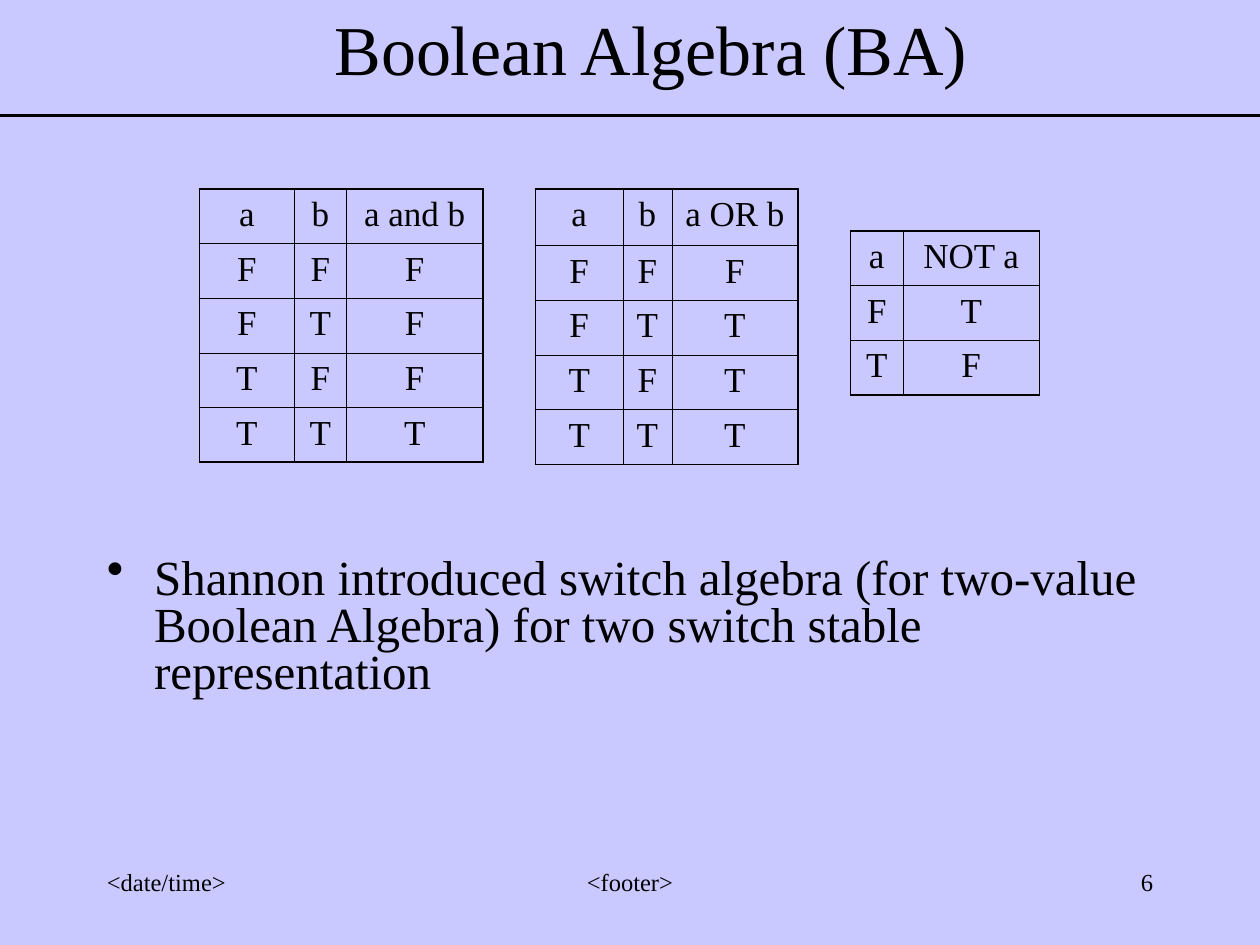
"""Build the Boolean Algebra slide with its three truth tables."""
from lxml.etree import SubElement
from pptx import Presentation
from pptx.dml.color import RGBColor
from pptx.enum.shapes import MSO_CONNECTOR
from pptx.enum.text import MSO_ANCHOR, PP_ALIGN
from pptx.oxml.ns import qn
from pptx.util import Pt

BLACK = RGBColor(0x00, 0x00, 0x00)
LAVENDER = RGBColor(0xC9, 0xC9, 0xFF)
FONT = "Times New Roman"
OUTER, INNER = 1.08, 0.45


def write(frame, text, size=14, align=PP_ALIGN.LEFT, anchor=MSO_ANCHOR.TOP,
          spacing=None, bullet=None, indent=0):
    frame.word_wrap = True
    frame.vertical_anchor = anchor
    paragraph = frame.paragraphs[0]
    paragraph.text = text
    paragraph.alignment = align
    paragraph.line_spacing = spacing
    if bullet:
        properties = paragraph._p.get_or_add_pPr()
        properties.set("marL", str(Pt(indent)))
        properties.set("indent", str(-Pt(indent)))
        SubElement(properties, qn("a:buChar"), char=bullet)
    paragraph.font.name = FONT
    paragraph.font.size = Pt(size)
    paragraph.font.color.rgb = BLACK


def add_border(cell, side, width):
    border = SubElement(cell._tc.get_or_add_tcPr(), qn(f"a:ln{side}"), w=str(Pt(width)))
    fill = SubElement(border, qn("a:solidFill"))
    SubElement(fill, qn("a:srgbClr"), val=str(BLACK))


prs = Presentation()
prs.slide_width, prs.slide_height = Pt(720), Pt(540)
slide = prs.slides.add_slide(prs.slide_layouts[6])
slide.background.fill.solid()
slide.background.fill.fore_color.rgb = LAVENDER

statement = ("Shannon introduced switch algebra (for two-value Boolean Algebra) "
             "for two switch stable representation")
texts = [
    ("6", (516, 492, 150, 36), dict(align=PP_ALIGN.RIGHT)),
    ("<footer>", (246, 492, 228, 36), dict(align=PP_ALIGN.CENTER)),
    ("<date/time>", (54, 492, 150, 36), {}),
    ("Boolean Algebra (BA)", (48, 0, 648, 54),
     dict(size=40, align=PP_ALIGN.CENTER, anchor=MSO_ANCHOR.MIDDLE)),
    (statement, (54, 315, 612, 111), dict(size=28, spacing=0.8, bullet="•", indent=27)),
]
for text, place, style in texts:
    box = slide.shapes.add_textbox(*map(Pt, place))
    write(box.text_frame, text, **style)

rule = slide.shapes.add_connector(MSO_CONNECTOR.STRAIGHT, 0, Pt(66), Pt(720), Pt(66))
rule.line.color.rgb = BLACK
rule.line.width = Pt(2)
SubElement(rule._element.spPr, qn("a:effectLst"))

truth_tables = [
    (114, 108, (54, 30, 78), 31.14, ["a", "b", "a and b"], ["FFF", "FTF", "TFF", "TTT"]),
    (306, 108, (50, 28, 72), 32.4, ["a", "b", "a OR b"], ["FFF", "FTT", "TFT", "TTT"]),
    (486, 132, (30, 78), 31.14, ["a", "NOT a"], ["FT", "TF"]),
]
for left, top, widths, header_height, header, values in truth_tables:
    rows = [header, *values]
    heights = [header_height] + [31.14] * len(values)
    table = slide.shapes.add_table(len(rows), len(widths), Pt(left), Pt(top),
                                   Pt(sum(widths)), Pt(sum(heights))).table
    table.first_row = table.horz_banding = False
    for column, width in zip(table.columns, widths):
        column.width = Pt(width)
    for r, (row, height) in enumerate(zip(rows, heights)):
        table.rows[r].height = Pt(height)
        for c, value in enumerate(row):
            cell = table.cell(r, c)
            write(cell.text_frame, value, size=20, align=PP_ALIGN.CENTER)
            edges = {"L": c == 0, "R": c == len(widths) - 1,
                     "T": r == 0, "B": r == len(rows) - 1}
            for side, is_outer in edges.items():
                add_border(cell, side, OUTER if is_outer else INNER)
            cell.fill.background()

prs.save("out.pptx")
